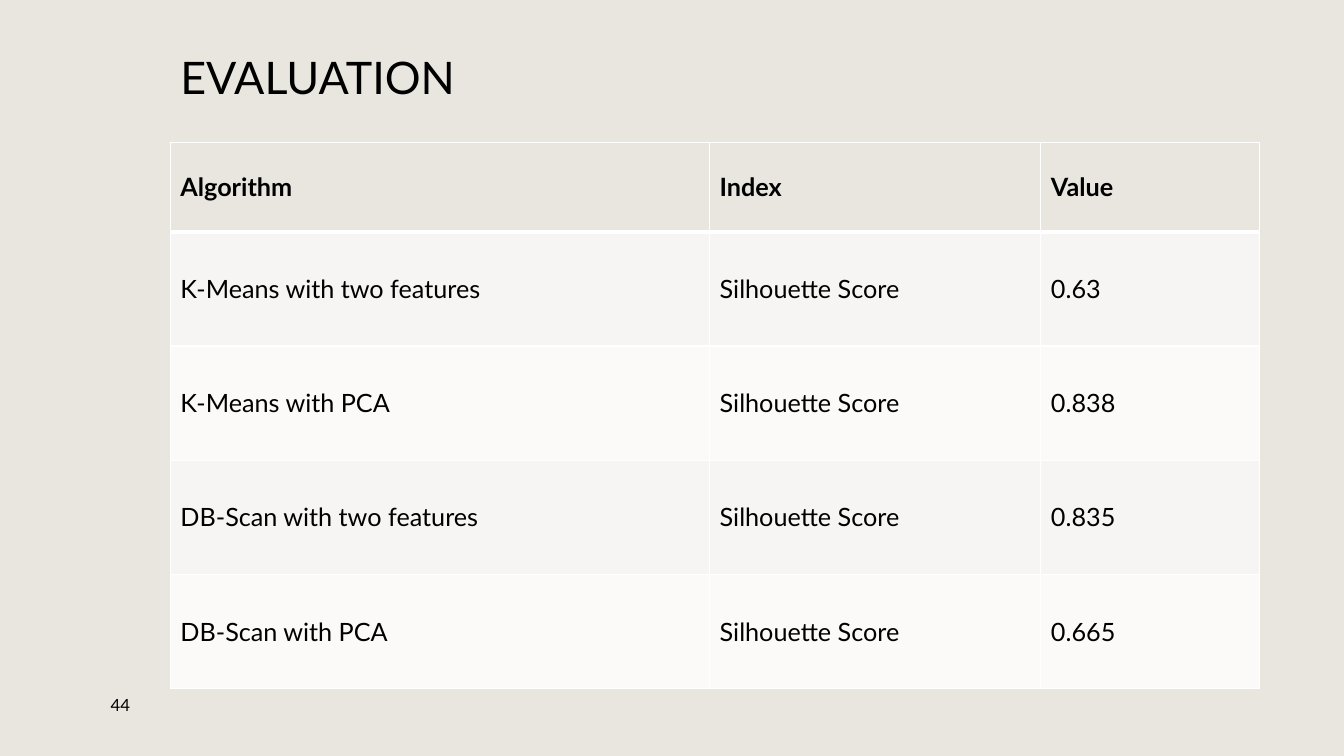
from lxml import etree
from pptx import Presentation, util as u
from pptx.dml.color import RGBColor
from pptx.enum import text
from pptx.oxml.ns import qn

HUES = {"back": "E9E6DF", "ink": "000000", "line": "FFFFFF",
        "odd": "F7F5F3", "even": "FBFAF9"}
LEFT = 12.68  # shared left edge, percent of the width


class Deck:
    """Style and current slide; lengths are percent of the slide's size."""

    font = "Lato"

    def __init__(self):
        self.show = Presentation()
        self.show.slide_width = u.Inches(13.33)
        self.show.slide_height = u.Inches(7.5)
        self.slide = self.show.slides.add_slide(self.show.slide_layouts[6])
        self.paint(self.slide.background.fill, "back")

    def wide(self, share):
        return round(self.show.slide_width * share / 100)

    def high(self, share):
        return round(self.show.slide_height * share / 100)

    def paint(self, fill, hue):
        fill.solid()
        fill.fore_color.rgb = RGBColor.from_string(HUES[hue])

    def letter(self, frame, words, size, bold=False):
        frame.text = words
        font = frame.paragraphs[0].runs[0].font
        font.name, font.size, font.bold = self.font, u.Pt(size), bold
        font.color.rgb = RGBColor.from_string(HUES["ink"])

    def label(self, words, x, y, w, h, size):
        box = self.slide.shapes.add_textbox(
            self.wide(x), self.high(y), self.wide(w), self.high(h))
        frame = box.text_frame
        frame.word_wrap = True
        frame.vertical_anchor = text.MSO_ANCHOR.MIDDLE
        self.letter(frame, words, size)
        return frame

    def edge(self, cell, sides):
        props = cell._tc.get_or_add_tcPr()
        for spot, (side, width) in enumerate(sides.items()):
            line = etree.Element(qn(f"a:ln{side}"), w=str(u.Pt(width)))
            fill = etree.SubElement(line, qn("a:solidFill"))
            etree.SubElement(fill, qn("a:srgbClr"), val=HUES["line"])
            props.insert(spot, line)

    def table(self, data, x, y, cols, rows, size):
        grid = self.slide.shapes.add_table(
            len(rows), len(cols), self.wide(x), self.high(y),
            self.wide(sum(cols)), self.high(sum(rows))).table
        for col, share in zip(grid.columns, cols):
            col.width = self.wide(share)
        for i, (row, share) in enumerate(zip(grid.rows, rows)):
            row.height = self.high(share)
            hue = "back" if i == 0 else "odd" if i % 2 else "even"
            for cell, words in zip(row.cells, data[i]):
                self.letter(cell.text_frame, words, size, bold=i == 0)
                cell.vertical_anchor = text.MSO_ANCHOR.MIDDLE
                self.paint(cell.fill, hue)
                # Heavy rule between the heading row and the body
                self.edge(cell, {"L": 1, "R": 1, "T": 3 if i == 1 else 1,
                                 "B": 3 if i == 0 else 1})


def main():
    deck = Deck()

    # Title
    title = deck.label("EVALUATION", LEFT, 0, 42.46, 21.07, 32)
    title.paragraphs[0].line_spacing = 0.9

    # Page number
    deck.label("44", 7.5, 91.07, 5.18, 4.27, 12)

    # Scores
    scores = [("K-Means with two features", "0.63"),
              ("K-Means with PCA", "0.838"),
              ("DB-Scan with two features", "0.835"),
              ("DB-Scan with PCA", "0.665")]
    data = [("Algorithm", "Index", "Value")]
    data += [(name, "Silhouette Score", value) for name, value in scores]
    deck.table(data, LEFT, 18.8, [40.12, 24.65, 16.25],
               [11.87] + [15.1] * len(scores), 18)

    deck.show.save("out.pptx")


if __name__ == "__main__":
    main()
